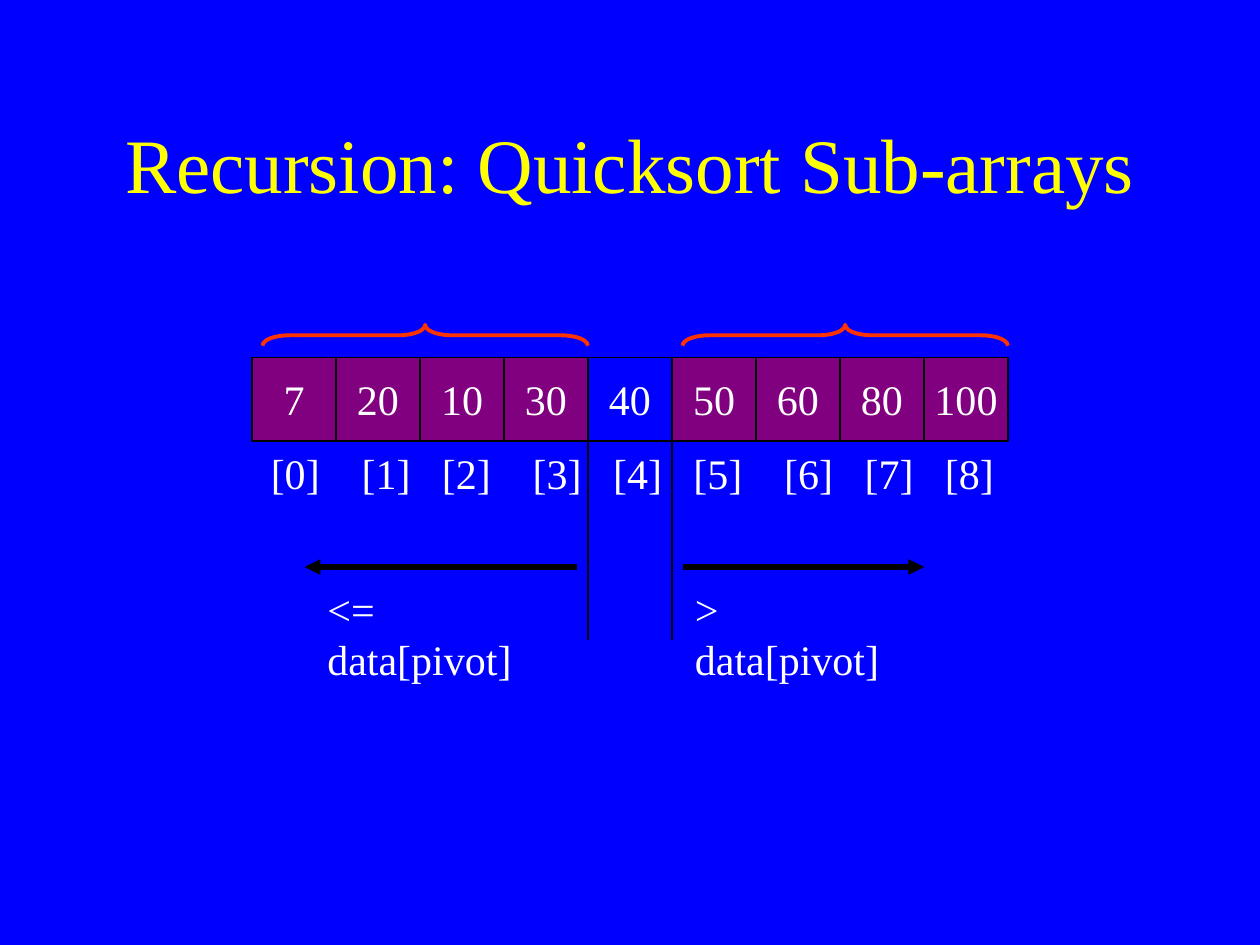
from itertools import accumulate

from pptx import Presentation
from pptx.dml.color import RGBColor
from pptx.enum.shapes import MSO_CONNECTOR as Link, MSO_SHAPE as Shape
from pptx.enum.text import MSO_ANCHOR as Anchor, PP_ALIGN as Align
from pptx.oxml.ns import qn
from pptx.util import Cm, Pt

BLUE = RGBColor(0x00, 0x00, 0xFF)
PURPLE = RGBColor(0x80, 0x00, 0x80)
YELLOW = RGBColor(0xFF, 0xFF, 0x00)
WHITE = RGBColor(0xFF, 0xFF, 0xFF)
BLACK = RGBColor(0x00, 0x00, 0x00)
RED = RGBColor(0xFF, 0x33, 0x00)

DATA = [7, 20, 10, 30, 40, 50, 60, 80, 100]
PIVOT = 4
LEFT, TOP, SIDE = 5.08, 7.2, 15.24 / len(DATA)
WIDE, NARROW = 1.83, 1.62
STEPS = [WIDE, NARROW, WIDE, NARROW, NARROW, WIDE, NARROW, NARROW]

BODY = {"name": "Times New Roman", "size": Pt(24)}
HEAD = {"name": "Times New Roman", "size": Pt(44)}


def put_text(shape, text, style=BODY, color=WHITE, align=Align.LEFT,
             anchor=Anchor.TOP, wrap=False):
    frame = shape.text_frame
    frame.word_wrap = wrap
    frame.vertical_anchor = anchor
    para = frame.paragraphs[0]
    para.text = text
    para.alignment = align
    for key, value in style.items():
        setattr(para.font, key, value)
    para.font.color.rgb = color
    return para


def add_label(slide, text, x, y, w, h, **form):
    box = slide.shapes.add_textbox(Cm(x), Cm(y), Cm(w), Cm(h))
    return put_text(box, text, **form)


def add_cell(slide, i, value):
    cell = slide.shapes.add_shape(
        Shape.RECTANGLE, Cm(LEFT + i * SIDE), Cm(TOP), Cm(SIDE), Cm(SIDE))
    cell.shadow.inherit = False
    cell.fill.solid()
    cell.fill.fore_color.rgb = BLUE if i == PIVOT else PURPLE
    cell.line.color.rgb = BLACK
    cell.line.width = Pt(0.75)
    put_text(cell, str(value), align=Align.CENTER, anchor=Anchor.MIDDLE)


def add_index(slide):
    """Write the index row, one tab stop for each label after the first."""
    text = "\t".join(f"[{i}]" for i in range(len(DATA)))
    para = add_label(slide, "", 5.21, 8.89, 15.14, 1.27, wrap=True)
    props = para._p.get_or_add_pPr()
    tabs = props.makeelement(qn("a:tabLst"), {})
    for pos in accumulate(STEPS):
        stop = tabs.makeelement(qn("a:tab"), {"pos": str(Cm(pos)), "algn": "l"})
        tabs.append(stop)
    props.insert(0, tabs)
    run = para.add_run()
    run.text = text
    for key, value in BODY.items():
        setattr(run.font, key, value)
    run.font.color.rgb = WHITE


def add_line(slide, x1, y1, x2, y2, width=0.75, arrow=False):
    line = slide.shapes.add_connector(
        Link.STRAIGHT, Cm(x1), Cm(y1), Cm(x2), Cm(y2))
    line.line.color.rgb = BLACK
    line.line.width = Pt(width)
    if arrow:
        ln = line.line._get_or_add_ln()
        ln.append(ln.makeelement(qn("a:tailEnd"), {"type": "triangle"}))
    props = line._element.spPr
    props.append(props.makeelement(qn("a:effectLst"), {}))


def add_brace(slide, mid):
    """Add a brace pointing up, centred at mid above the row."""
    thick, span = 0.42, 6.56
    brace = slide.shapes.add_shape(
        Shape.LEFT_BRACE, Cm(mid - thick / 2), Cm(6.76 - span / 2),
        Cm(thick), Cm(span))
    brace.rotation = 90
    brace.adjustments[0] = 1.29
    brace.shadow.inherit = False
    brace.fill.background()
    brace.line.color.rgb = RED
    brace.line.width = Pt(2.25)


def main():
    deck = Presentation()
    deck.slide_width, deck.slide_height = Cm(25.4), Cm(19.05)
    slide = deck.slides.add_slide(deck.slide_layouts[6])
    slide.background.fill.solid()
    slide.background.fill.fore_color.rgb = BLUE

    add_label(slide, "Recursion: Quicksort Sub-arrays", 1.91, 1.7, 21.59, 3.18,
              style=HEAD, color=YELLOW, align=Align.CENTER,
              anchor=Anchor.MIDDLE, wrap=True)
    for i, value in enumerate(DATA):
        add_cell(slide, i, value)
    add_index(slide)

    for i in (PIVOT, PIVOT + 1):
        x = LEFT + i * SIDE
        add_line(slide, x, TOP, x, 12.91)
    for start, end in ((11.64, 6.14), (13.76, 18.63)):
        add_line(slide, start, 11.43, end, 11.43, width=3, arrow=True)
    add_label(slide, "<= data[pivot]", 6.35, 11.64, 5.38, 1.27)
    add_label(slide, "> data[pivot]", 13.76, 11.64, 4.9, 1.27)

    for mid in (8.57, 8.57 + 5 * SIDE):
        add_brace(slide, mid)
    deck.save("out.pptx")


if __name__ == "__main__":
    main()
